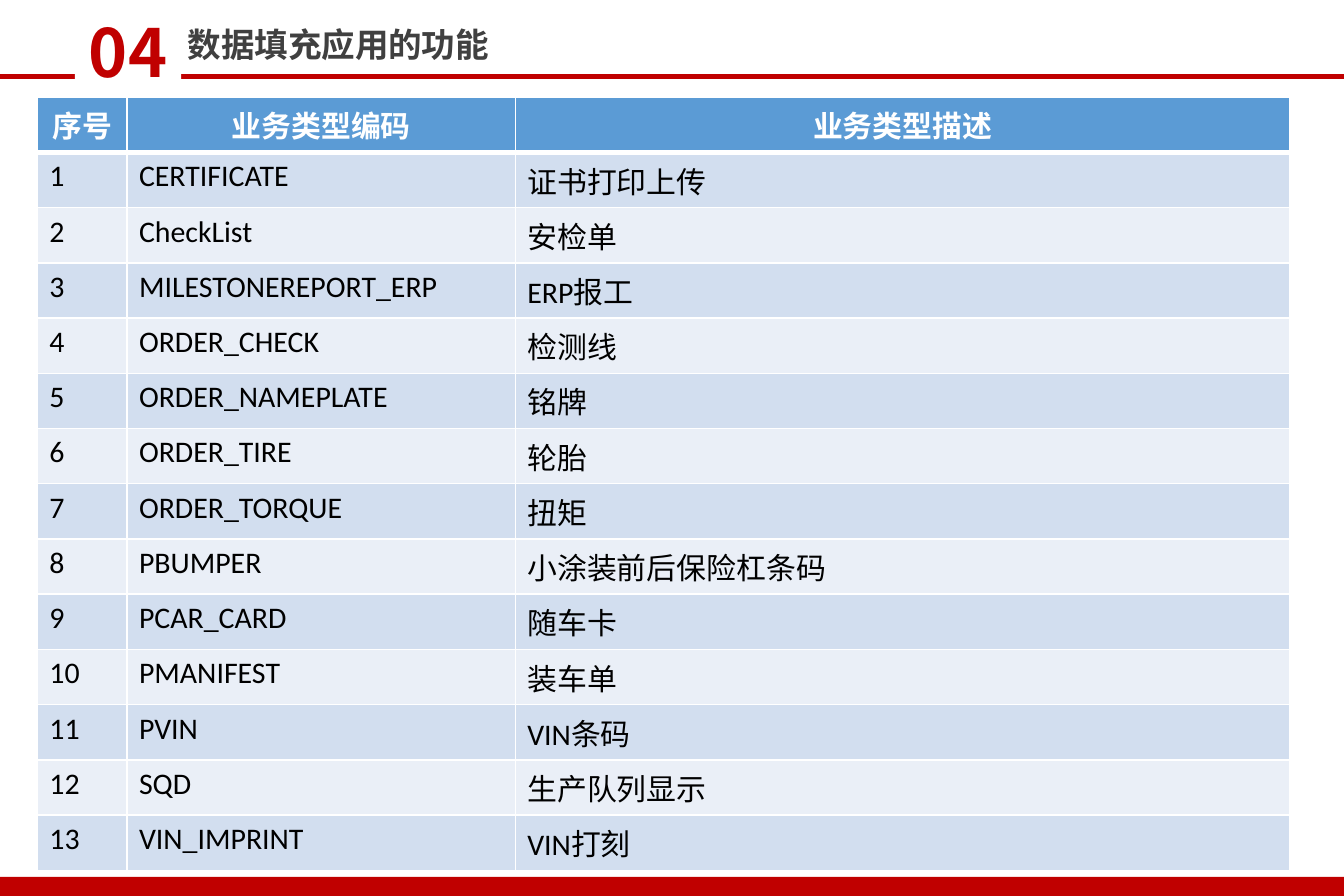
from dataclasses import dataclass

from lxml.etree import SubElement
from pptx import Presentation
from pptx.dml.color import RGBColor
from pptx.enum.shapes import MSO_CONNECTOR, MSO_SHAPE
from pptx.enum.text import MSO_ANCHOR, MSO_AUTO_SIZE, PP_ALIGN
from pptx.oxml.ns import qn
from pptx.util import Pt


@dataclass(frozen=True)
class Theme:
    red: str = "C00000"
    white: str = "FFFFFF"
    black: str = "000000"
    title: str = "404040"
    header: str = "5B9BD5"
    bands: tuple[str, str] = ("D2DEEF", "EAEFF7")
    heading_font: str = "Noto Sans CJK SC"
    table_font: str = "Calibri"
    number_size: float = 40
    title_size: float = 20.2
    table_size: float = 18


@dataclass(frozen=True)
class Box:
    left: float
    top: float
    width: float
    height: float

    def lengths(self) -> tuple[Pt, Pt, Pt, Pt]:
        return Pt(self.left), Pt(self.top), Pt(self.width), Pt(self.height)


@dataclass(frozen=True)
class TextStyle:
    font: str
    size: float
    color: str
    bold: bool = False
    align: PP_ALIGN = PP_ALIGN.LEFT


@dataclass(frozen=True)
class BusinessType:
    code: str
    description: str


THEME = Theme()
NUMBER = TextStyle(THEME.heading_font, THEME.number_size, THEME.red, True, PP_ALIGN.CENTER)
TITLE = TextStyle(THEME.heading_font, THEME.title_size, THEME.title, True)
HEADER = TextStyle(THEME.table_font, THEME.table_size, THEME.white, True, PP_ALIGN.CENTER)
BODY = TextStyle(THEME.table_font, THEME.table_size, THEME.black)

TABLE_BOX = Box(22.6, 58.6, 754.9, 445.2)
COLUMN_WIDTHS = (54, 234, 466.9)
COLUMN_NAMES = ("序号", "业务类型编码", "业务类型描述")
BUSINESS_TYPES = (
    BusinessType("CERTIFICATE", "证书打印上传"),
    BusinessType("CheckList", "安检单"),
    BusinessType("MILESTONEREPORT_ERP", "ERP报工"),
    BusinessType("ORDER_CHECK", "检测线"),
    BusinessType("ORDER_NAMEPLATE", "铭牌"),
    BusinessType("ORDER_TIRE", "轮胎"),
    BusinessType("ORDER_TORQUE", "扭矩"),
    BusinessType("PBUMPER", "小涂装前后保险杠条码"),
    BusinessType("PCAR_CARD", "随车卡"),
    BusinessType("PMANIFEST", "装车单"),
    BusinessType("PVIN", "VIN条码"),
    BusinessType("SQD", "生产队列显示"),
    BusinessType("VIN_IMPRINT", "VIN打刻"),
)


def rgb(color: str) -> RGBColor:
    return RGBColor.from_string(color)


def write(tf, text: str, style: TextStyle) -> None:
    tf.text = text
    p = tf.paragraphs[0]
    p.alignment = style.align
    r = p.runs[0]
    r.font.name = style.font
    r.font.size = Pt(style.size)
    r.font.bold = style.bold
    r.font.color.rgb = rgb(style.color)
    if style.font == THEME.heading_font:
        SubElement(r.font._element, qn("a:ea"), typeface=style.font)


def write_heading(sp, box: Box, text: str, style: TextStyle) -> None:
    """Place a white, unwrapped heading box."""
    sp.left, sp.top, sp.width, sp.height = box.lengths()
    sp.fill.solid()
    sp.fill.fore_color.rgb = rgb(THEME.white)
    tf = sp.text_frame
    tf.word_wrap = False
    tf.auto_size = MSO_AUTO_SIZE.NONE
    tf.vertical_anchor = MSO_ANCHOR.MIDDLE
    write(tf, text, style)


def add_rule(s, y: float, width: float) -> None:
    line = s.shapes.add_connector(MSO_CONNECTOR.STRAIGHT, Pt(0), Pt(y), Pt(width), Pt(y))
    line.line.color.rgb = rgb(THEME.red)
    line.line.width = Pt(3)
    SubElement(line._element.spPr, qn("a:effectLst"))


def add_footer_bar(s, box: Box) -> None:
    sp = s.shapes.add_shape(MSO_SHAPE.RECTANGLE, *box.lengths())
    sp.shadow.inherit = False
    sp.fill.solid()
    sp.fill.fore_color.rgb = rgb(THEME.red)
    sp.line.fill.background()


def format_cell(cell, text: str, style: TextStyle, fill: str, top: float, bottom: float) -> None:
    """Fill a cell; top and bottom are its border widths."""
    write(cell.text_frame, text, style)
    tcPr = cell._tc.get_or_add_tcPr()
    for side, width in (("L", 1), ("R", 1), ("T", top), ("B", bottom)):
        ln = SubElement(tcPr, qn(f"a:ln{side}"), w=str(Pt(width)))
        SubElement(SubElement(ln, qn("a:solidFill")), qn("a:srgbClr"), val=THEME.white)
    cell.fill.solid()
    cell.fill.fore_color.rgb = rgb(fill)


def add_type_table(s) -> None:
    rows = [COLUMN_NAMES]
    rows += [(str(n), t.code, t.description) for n, t in enumerate(BUSINESS_TYPES, 1)]
    table = s.shapes.add_table(len(rows), len(COLUMN_NAMES), *TABLE_BOX.lengths()).table
    for column, width in zip(table.columns, COLUMN_WIDTHS):
        column.width = Pt(width)
    for i, row in enumerate(rows):
        table.rows[i].height = Pt(TABLE_BOX.height / len(rows))
        style = BODY if i else HEADER
        fill = THEME.bands[(i - 1) % 2] if i else THEME.header
        top, bottom = (3 if i == 1 else 1), (1 if i else 3)
        for j, text in enumerate(row):
            format_cell(table.cell(i, j), text, style, fill, top, bottom)


def main() -> None:
    prs = Presentation()
    prs.slide_width, prs.slide_height = Pt(810), Pt(540)
    s = prs.slides.add_slide(prs.slide_layouts[5])
    add_footer_bar(s, Box(0, 528.5, 810, 13.7))
    add_rule(s, 46, 810)
    number = s.shapes.add_textbox(Pt(0), Pt(0), Pt(0), Pt(0))
    write_heading(number, Box(45.2, 3, 64, 55.7), "04", NUMBER)
    write_heading(s.shapes.title, Box(105.9, 10.9, 198.7, 31.8), "数据填充应用的功能", TITLE)
    add_type_table(s)
    prs.save("out.pptx")


if __name__ == "__main__":
    main()
